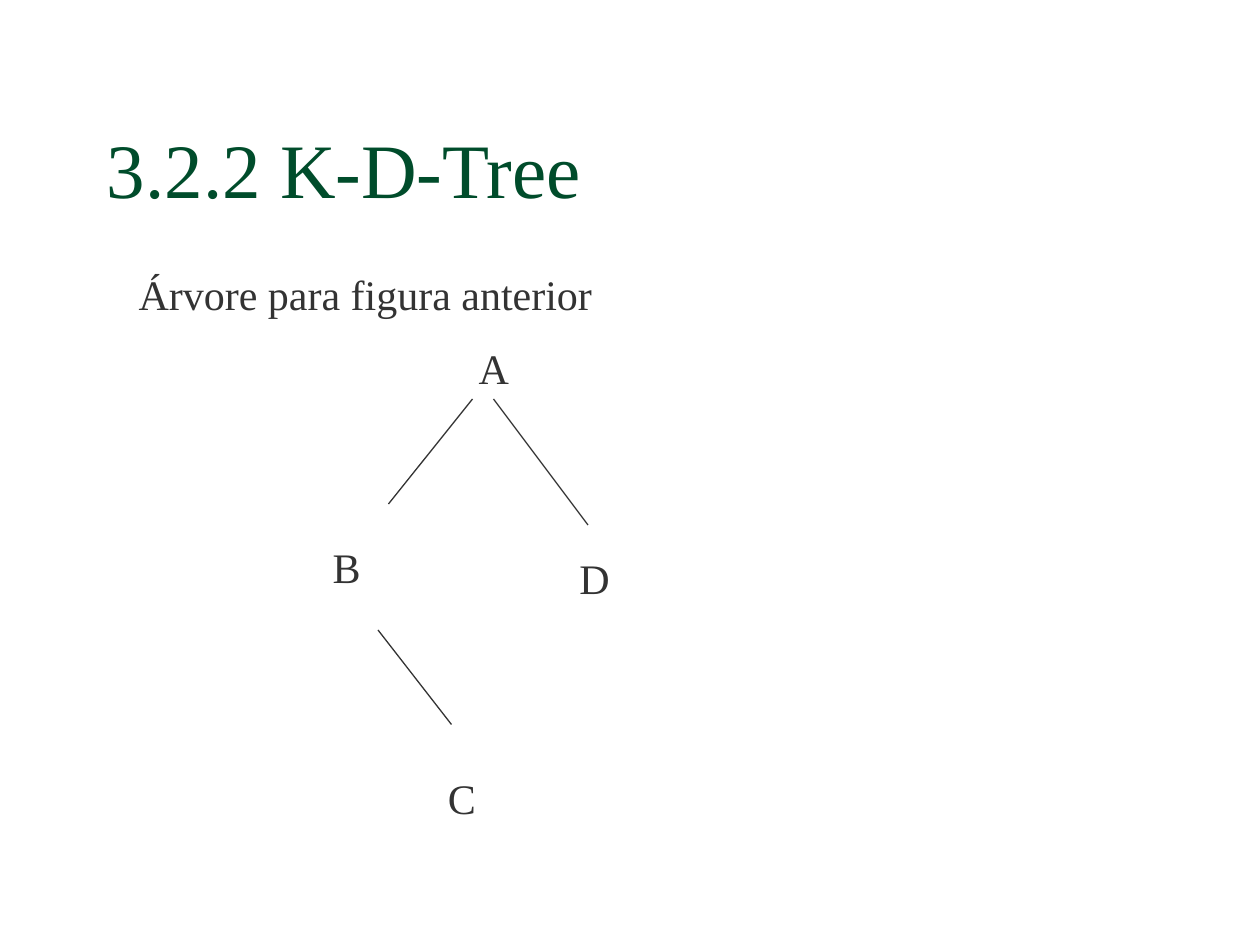
from dataclasses import dataclass

from lxml.etree import SubElement
from pptx import Presentation
from pptx.dml.color import RGBColor
from pptx.enum.shapes import MSO_CONNECTOR
from pptx.enum.text import MSO_ANCHOR, PP_ALIGN
from pptx.oxml.ns import qn
from pptx.util import Inches, Pt


@dataclass(frozen=True)
class Theme:
    font: str = "Times New Roman"
    green: str = "004C2B"
    ink: str = "333333"
    head: int = 44
    body: int = 24
    line: float = 0.75


class Deck:
    """Draws on a grid of 120 columns by 90 rows."""

    def __init__(self, theme):
        self.theme = theme
        self.file = Presentation()
        self.file.slide_width = Inches(10)
        self.file.slide_height = Inches(7.5)
        self.col = self.file.slide_width / 120
        self.row = self.file.slide_height / 90
        self.slide = self.file.slides.add_slide(self.file.slide_layouts[6])

    def place(self, x, y):
        return round(x * self.col), round(y * self.row)

    def text(self, words, x, y, w, h, size, color, align, anchor, wrap):
        box = self.slide.shapes.add_textbox(*self.place(x, y), *self.place(w, h))
        frame = box.text_frame
        frame.text = words
        frame.word_wrap = wrap
        frame.vertical_anchor = anchor
        para = frame.paragraphs[0]
        para.alignment = align
        font = para.runs[0].font
        font.name = self.theme.font
        font.size = Pt(size)
        font.color.rgb = RGBColor.from_string(color)

    def title(self, words, x, y, w, h):
        self.text(words, x, y, w, h, self.theme.head, self.theme.green,
                  PP_ALIGN.LEFT, MSO_ANCHOR.BOTTOM, True)

    def label(self, words, mid, top, w=5.2):
        """Puts one line of text, six rows high, centred on column mid."""
        self.text(words, mid - w / 2, top, w, 6, self.theme.body,
                  self.theme.ink, PP_ALIGN.CENTER, MSO_ANCHOR.MIDDLE, False)

    def edge(self, start, end):
        line = self.slide.shapes.add_connector(
            MSO_CONNECTOR.STRAIGHT, *self.place(*start), *self.place(*end))
        line.line.color.rgb = RGBColor.from_string(self.theme.ink)
        line.line.width = Pt(self.theme.line)
        SubElement(line._element.spPr, qn("a:effectLst"))


NODES = [("A", 47, 32), ("B", 33, 51), ("C", 44, 73), ("D", 56.6, 52)]
EDGES = [((45, 38), (37, 48)), ((36, 60), (43, 69)), ((47, 38), (56, 50))]


def main():
    deck = Deck(Theme())
    deck.title("3.2.2 K-D-Tree", 9, 6, 102, 15)
    deck.label("Árvore para figura anterior", 34.8, 25, 45.6)
    for node in NODES:
        deck.label(*node)
    for start, end in EDGES:
        deck.edge(start, end)
    deck.file.save("out.pptx")


if __name__ == "__main__":
    main()
